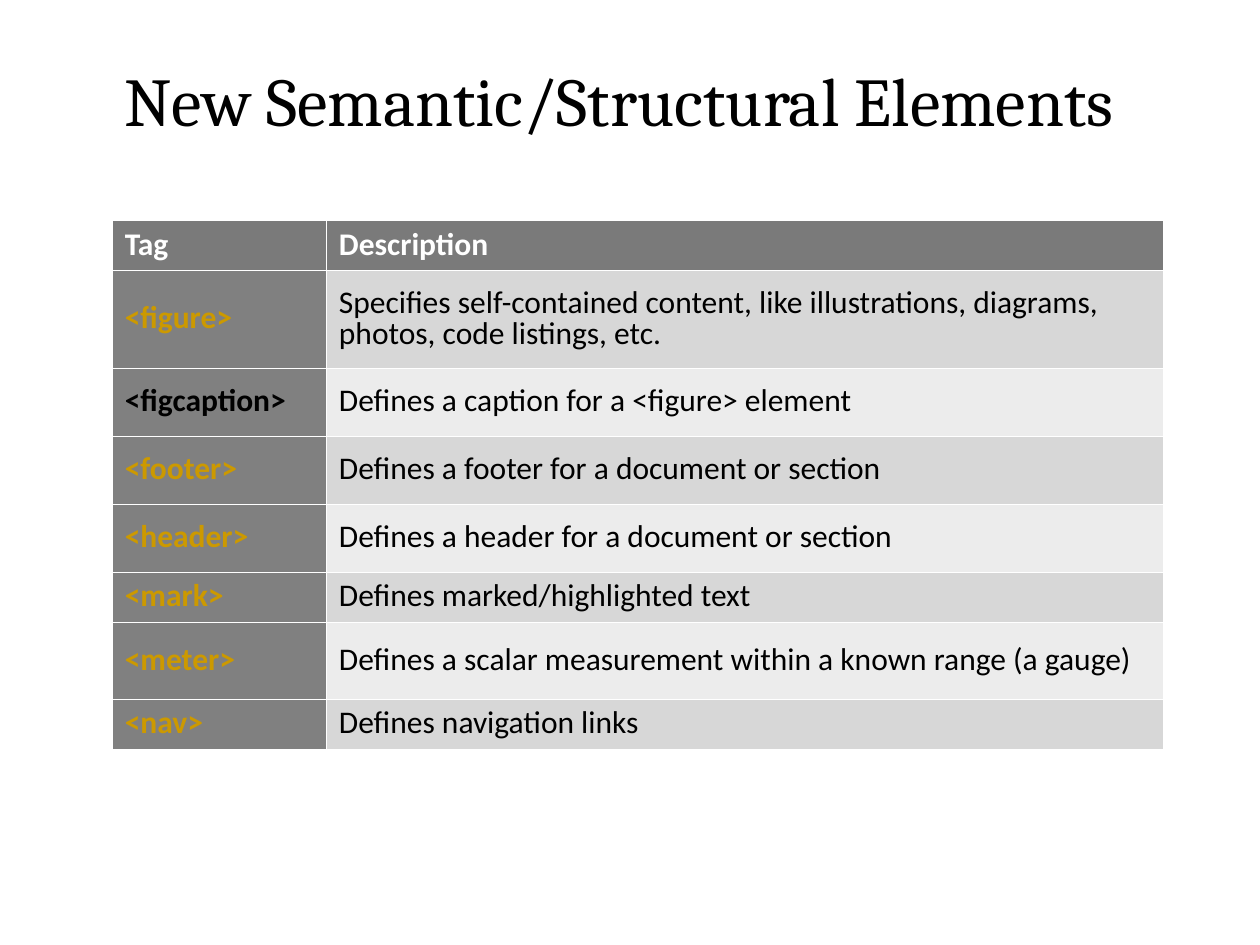
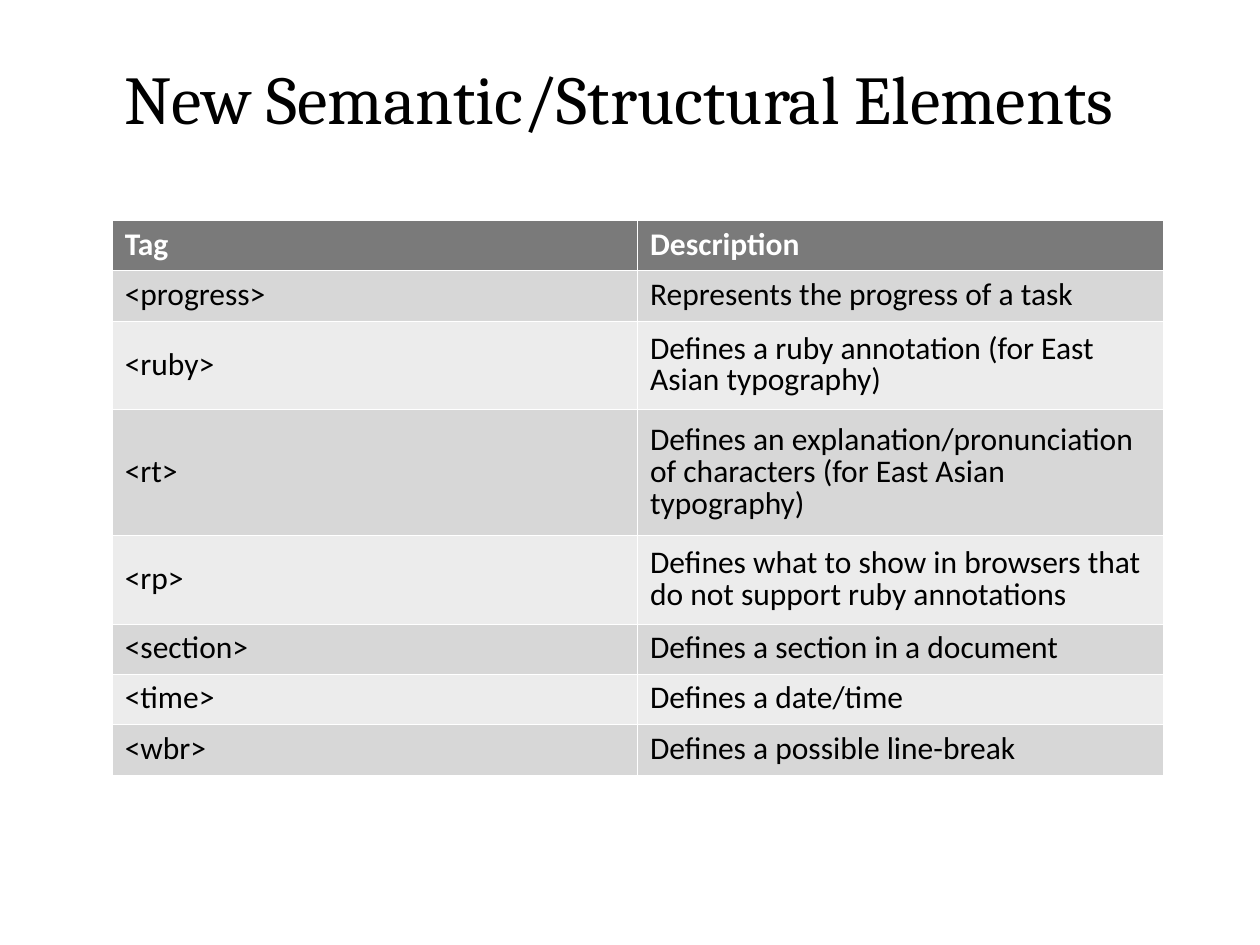
from dataclasses import dataclass

from lxml import etree
from pptx import Presentation
from pptx.dml.color import RGBColor
from pptx.enum.text import MSO_ANCHOR, PP_ALIGN
from pptx.oxml.ns import qn
from pptx.util import Inches, Pt

MIDDLE = MSO_ANCHOR.MIDDLE
LEFT = PP_ALIGN.LEFT

TITLE = "New Semantic/Structural Elements"
HEADER = ("Tag", "Description")

SLIDES = [
    {
        "title_top": 0.2,
        "columns": (1.7, 6.64),
        "tag_column": True,
        "plain_tags": ("<figcaption>",),
        "rows": [
            ("<figure>", "Specifies self-contained content, like illustrations, "
                         "diagrams, photos, code listings, etc.", 0.77),
            ("<figcaption>", "Defines a caption for a <figure> element", 0.54),
            ("<footer>", "Defines a footer for a document or section", 0.54),
            ("<header>", "Defines a header for a document or section", 0.54),
            ("<mark>", "Defines marked/highlighted text", 0.4),
            ("<meter>", "Defines a scalar measurement within a known range (a gauge)", 0.61),
            ("<nav>", "Defines navigation links", 0.4),
        ],
    },
    {
        "title_top": 0.19,
        "columns": (4.17, 4.17),
        "tag_column": False,
        "plain_tags": (),
        "rows": [
            ("<progress>", "Represents the progress of a task", 0.4),
            ("<ruby>", "Defines a ruby annotation (for East Asian typography)", 0.7),
            ("<rt>", "Defines an explanation/pronunciation of characters "
                     "(for East Asian typography)", 1),
            ("<rp>", "Defines what to show in browsers that do not support "
                     "ruby annotations", 0.7),
            ("<section>", "Defines a section in a document", 0.4),
            ("<time>", "Defines a date/time", 0.4),
            ("<wbr>", "Defines a possible line-break", 0.4),
        ],
    },
]


@dataclass(frozen=True)
class Theme:
    title_font: str = "Cambria"
    body_font: str = "Calibri"
    title_size: float = 39.1
    body_size: float = 18
    title_spacing: float = 0.9
    body_spacing: float = 0.83
    ink: str = "000000"
    white: str = "FFFFFF"
    tag_ink: str = "CC9900"
    header_fill: str = "7A7A7A"
    tag_fill: str = "808080"
    bands: tuple = ("D7D7D7", "ECECEC")
    thin_line: float = 0.23
    header_line: float = 0.75


THEME = Theme()
LEFT_EDGE = 0.89
TITLE_SIZE = (8.33, 1.25)
TABLE_TOP = 1.75
HEADER_HEIGHT = 0.4
INSETS = {"margin_left": 0.1, "margin_top": 0.05, "margin_right": 0.1, "margin_bottom": 0.05}


def set_all(target, values):
    for name, value in values.items():
        setattr(target, name, value)


def set_insets(target):
    set_all(target, {name: Inches(size) for name, size in INSETS.items()})


def write(frame, text, font, size, color, spacing, bold=False):
    frame.word_wrap = True
    para = frame.paragraphs[0]
    set_all(para, {"alignment": LEFT, "line_spacing": spacing})
    span = para.add_run()
    span.text = text
    set_all(span.font, {"name": font, "size": Pt(size), "bold": bold})
    span.font.color.rgb = RGBColor.from_string(color)


def add_borders(cell, row_index):
    thick_side = {0: "lnB", 1: "lnT"}.get(row_index)
    properties = cell._tc.get_or_add_tcPr()
    for side in ("lnL", "lnR", "lnT", "lnB"):
        width = THEME.header_line if side == thick_side else THEME.thin_line
        line = etree.SubElement(properties, qn(f"a:{side}"), w=str(Pt(width)))
        fill = etree.SubElement(line, qn("a:solidFill"))
        etree.SubElement(fill, qn("a:srgbClr"), val=THEME.white)


def cell_style(content, row_index, column_index, text):
    if row_index == 0:
        return THEME.header_fill, THEME.white, True
    if column_index == 0 and content["tag_column"]:
        color = THEME.ink if text in content["plain_tags"] else THEME.tag_ink
        return THEME.tag_fill, color, True
    return THEME.bands[(row_index - 1) % 2], THEME.ink, False


def add_title(page, top):
    box = page.shapes.add_textbox(*map(Inches, (LEFT_EDGE, top, *TITLE_SIZE)))
    frame = box.text_frame
    frame.vertical_anchor = MIDDLE
    set_insets(frame)
    write(frame, TITLE, THEME.title_font, THEME.title_size, THEME.ink, THEME.title_spacing)


def add_tag_table(page, content):
    rows = [(*HEADER, HEADER_HEIGHT), *content["rows"]]
    columns = content["columns"]
    height = sum(row[-1] for row in rows)
    place = map(Inches, (LEFT_EDGE, TABLE_TOP, sum(columns), height))
    table = page.shapes.add_table(len(rows), len(columns), *place).table
    for column, width in zip(table.columns, columns):
        column.width = Inches(width)
    for row_index, (*texts, row_height) in enumerate(rows):
        table.rows[row_index].height = Inches(row_height)
        for column_index, text in enumerate(texts):
            cell = table.cell(row_index, column_index)
            fill, color, bold = cell_style(content, row_index, column_index, text)
            cell.vertical_anchor = MIDDLE
            set_insets(cell)
            add_borders(cell, row_index)
            cell.fill.solid()
            cell.fill.fore_color.rgb = RGBColor.from_string(fill)
            write(cell.text_frame, text, THEME.body_font, THEME.body_size,
                  color, THEME.body_spacing, bold)


def main():
    deck = Presentation()
    set_all(deck, {"slide_width": Inches(10), "slide_height": Inches(7.5)})
    blank = deck.slide_layouts[6]
    for content in SLIDES:
        page = deck.slides.add_slide(blank)
        add_title(page, content["title_top"])
        add_tag_table(page, content)
    deck.save("out.pptx")


if __name__ == "__main__":
    main()
